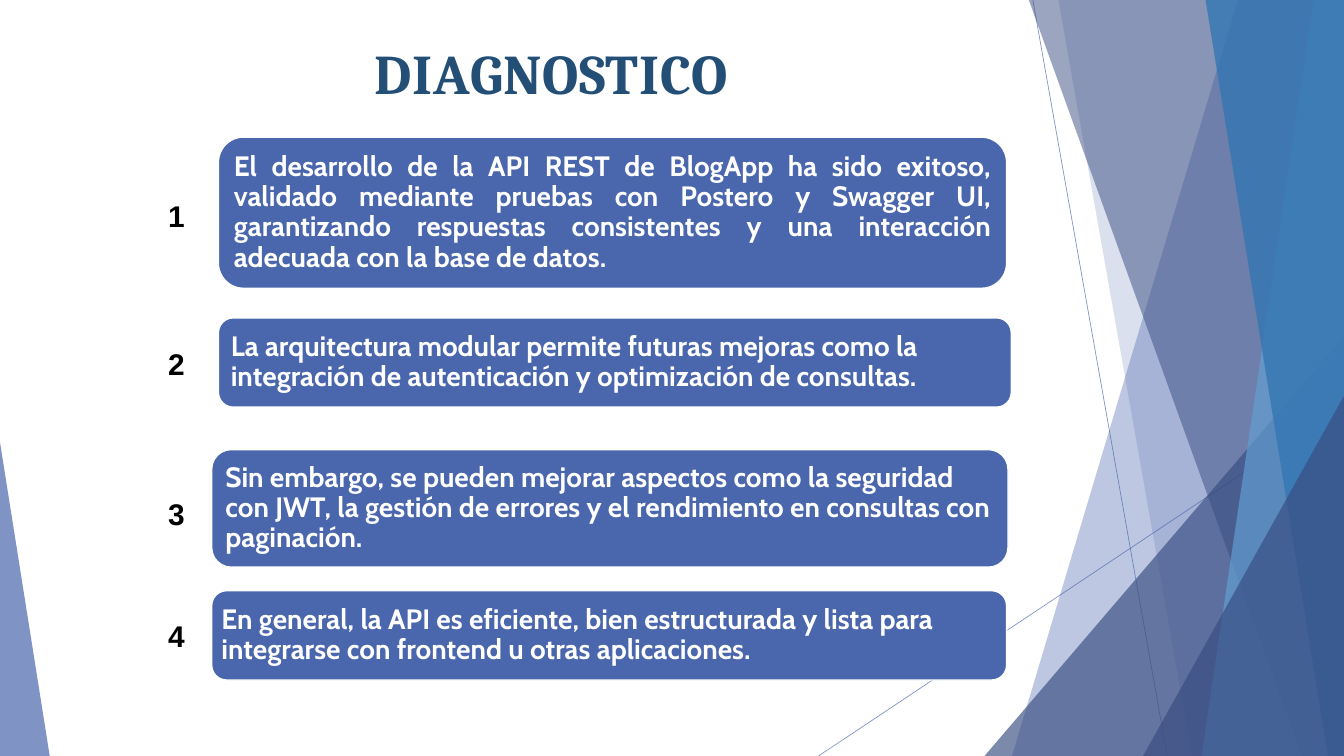
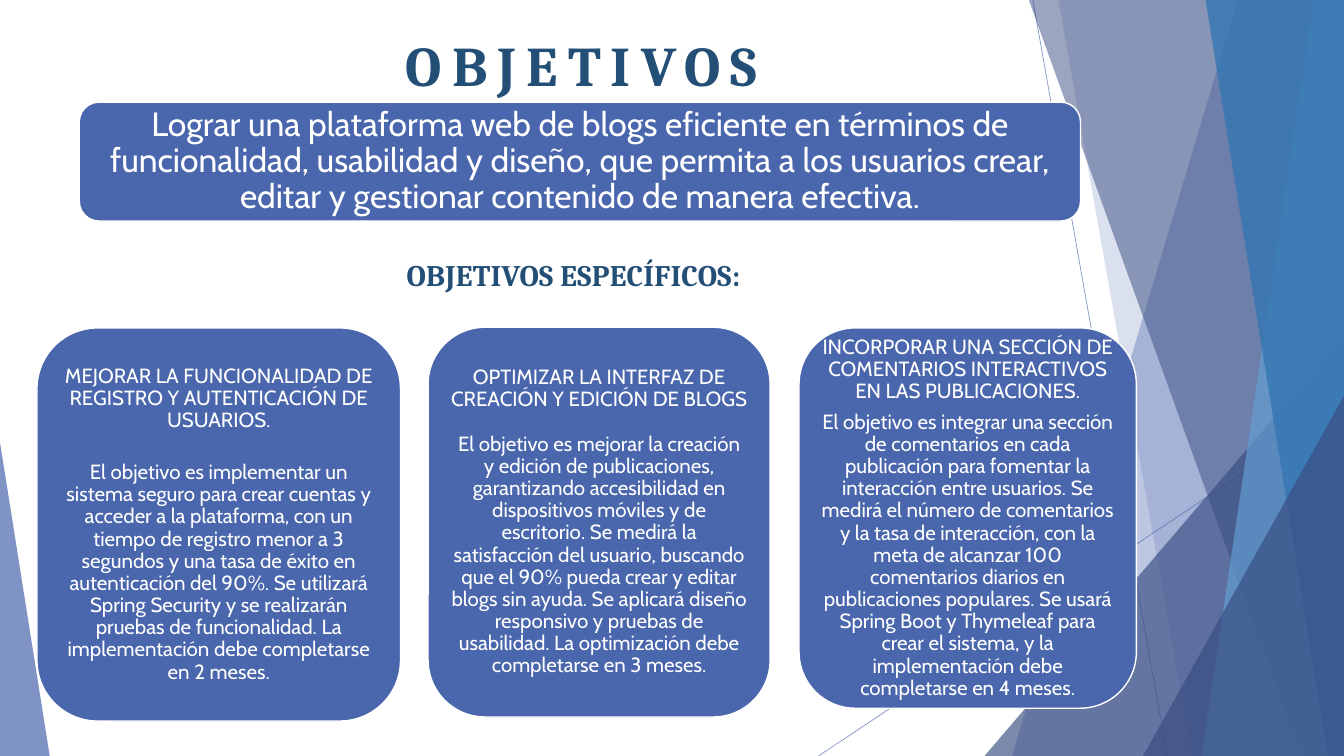
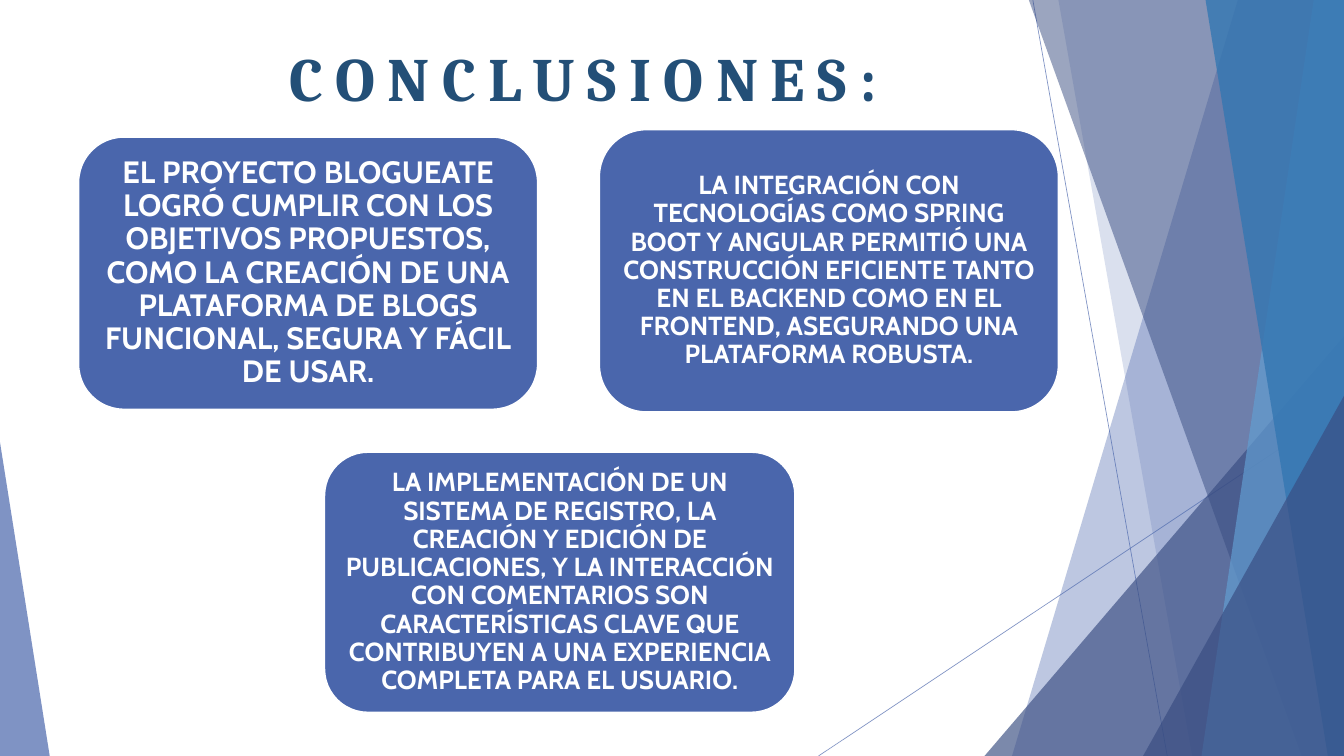
from pptx import Presentation
from pptx import util as u
from pptx.dml.color import RGBColor
from pptx.enum import shapes, text
from pptx.oxml import ns, xmlchemy

# The slide is a grid of 20 columns by 11.25 rows of one-inch cells
COLS, ROWS = 20, 11.25
COLORS = {"card": "4A66AC", "navy": "384C81", "sky": "629DD1", "ocean": "3477B2",
          "title": "234F77", "white": "FFFFFF", "black": "000000"}
CENTER, LEFT, JUSTIFY = text.PP_ALIGN.CENTER, text.PP_ALIGN.LEFT, text.PP_ALIGN.JUSTIFY


def rgb(name):
    return RGBColor.from_string(COLORS[name])


def cells(*lengths):
    return [u.Inches(length) for length in lengths]


# ---- Text ----
def prepare(frame, anchor, pad_x=0, pad_y=0):
    frame.word_wrap = True
    frame.auto_size = text.MSO_AUTO_SIZE.NONE
    frame.vertical_anchor = anchor
    frame.margin_left, frame.margin_right = cells(pad_x, pad_x)
    frame.margin_top, frame.margin_bottom = cells(pad_y, pad_y)


def write(paragraph, words, size, font, color, bold=True, align=CENTER, leading=0.9, tracking=0):
    paragraph.alignment = align
    paragraph.line_spacing = leading
    run = paragraph.add_run()
    run.text = words
    run.font.size, run.font.name, run.font.bold = u.Pt(size), font, bold
    run.font.color.rgb = rgb(color)
    if tracking:
        run.font._element.set("spc", str(round(tracking * 100)))


def label(slide, box, words, size, font, color, leading, **style):
    holder = slide.shapes.add_textbox(*cells(*box))
    prepare(holder.text_frame, text.MSO_ANCHOR.TOP)
    write(holder.text_frame.paragraphs[0], words, size, font, color,
          leading=u.Pt(leading), **style)


def card(slide, box, paragraphs, size, pad=(0.12, 0.12), bold=True, align=CENTER, gap=0):
    body = slide.shapes.add_shape(shapes.MSO_SHAPE.ROUNDED_RECTANGLE, *cells(*box))
    body.shadow.inherit = False
    body.fill.solid()
    body.fill.fore_color.rgb = rgb("card")
    body.line.color.rgb = rgb("white")
    body.line.width = u.Pt(1.5)
    frame = body.text_frame
    prepare(frame, text.MSO_ANCHOR.MIDDLE, *pad)
    for index, words in enumerate(paragraphs):
        paragraph = frame.add_paragraph() if index else frame.paragraphs[0]
        write(paragraph, words, size, "Cabin", "white", bold, align)
        if index < len(paragraphs) - 1:
            paragraph.space_after = u.Pt(gap)


def titled_slide(deck, words, box, size, leading, tracking, align=CENTER):
    slide = deck.slides.add_slide(deck.slide_layouts[5])
    title = slide.shapes.title
    title.left, title.top, title.width, title.height = cells(*box)
    prepare(title.text_frame, text.MSO_ANCHOR.TOP)
    write(title.text_frame.paragraphs[0], words, size, "Cambria", "title",
          align=align, leading=u.Pt(leading), tracking=tracking)
    return slide


# ---- Shared backdrop ----
def fade(part, percent):
    for color in part._element.iter(ns.qn("a:srgbClr")):
        alpha = xmlchemy.OxmlElement("a:alpha")
        alpha.set("val", str(percent * 1000))
        color.append(alpha)


def tint(part, color, percent):
    part.shadow.inherit = False
    part.fill.solid()
    part.fill.fore_color.rgb = rgb(color)
    part.line.fill.background()
    fade(part, percent)


def hairline(canvas, x1, y1, x2, y2):
    line = canvas.add_connector(shapes.MSO_CONNECTOR.STRAIGHT, *cells(x1, y1, x2, y2))
    line.line.color.rgb = rgb("card")
    line.line.width = u.Pt(0.75)
    fade(line, 70)
    line._element.find(ns.qn("p:spPr")).append(xmlchemy.OxmlElement("a:effectLst"))


def panel(canvas, top_x, bottom_x, color, percent):
    """Full-height panel from a slanted left side to the right edge."""
    outline = canvas.build_freeform(*cells(top_x, 0))
    outline.add_line_segments([cells(COLS, 0), cells(COLS, ROWS), cells(bottom_x, ROWS)])
    tint(outline.convert_to_shape(), color, percent)


def wedge(canvas, left, width, top, apex, color, percent):
    """Right triangle standing on the bottom edge."""
    corner = canvas.add_shape(shapes.MSO_SHAPE.ISOSCELES_TRIANGLE,
                              *cells(left, top, width, ROWS - top))
    corner.adjustments[0] = apex
    tint(corner, color, percent)


def add_backdrop(deck, slide):
    """Draw the facets as one group and hand it to the master."""
    facets = slide.shapes.add_group_shape()
    canvas = facets.shapes
    hairline(canvas, 15.37, 0, 17.37, ROWS)
    hairline(canvas, COLS, 6.04, 12.18, ROWS)
    panel(canvas, 18.42, 15.06, "card", 36)
    panel(canvas, 15.75, 17.74, "card", 20)
    wedge(canvas, 14.65, 5.35, 5, 1, "navy", 66)
    panel(canvas, 15.31, 19.37, "navy", 50)
    panel(canvas, 19.55, 17.88, "sky", 70)
    panel(canvas, 17.94, 19.76, "ocean", 80)
    wedge(canvas, 17.01, 2.99, 5.89, 1, "navy", 66)
    wedge(canvas, 0, 0.74, 6.58, 0, "card", 70)
    deck.slide_master.shapes._spTree.insert(2, facets._element)


# ---- Slides ----
def diagnosis(deck):
    slide = titled_slide(deck, "DIAGNOSTICO", (5.58, 0.74, 6.94, 0.85), 60, 59.8, 0.9, LEFT)
    # Number row, card box, padding, alignment, finding
    findings = [
        (2.96, (3.25, 2.04, 11.73, 2.25), 0.12, JUSTIFY,
         "El desarrollo de la API REST de BlogApp ha sido exitoso, validado mediante pruebas "
         "con Postero y Swagger UI, garantizando respuestas consistentes y una interacción "
         "adecuada con la base de datos."),
        (5.17, (3.25, 4.73, 11.8, 1.33), 0.12, LEFT,
         "La arquitectura modular permite futuras mejoras como la integración de "
         "autenticación y optimización de consultas."),
        (7.4, (3.15, 6.69, 11.85, 1.75), 0.12, LEFT,
         "Sin embargo, se pueden mejorar aspectos como la seguridad con JWT, la gestión de "
         "errores y el rendimiento en consultas con paginación."),
        (9.22, (3.15, 8.79, 11.83, 1.33), 0.08, LEFT,
         "En general, la API es eficiente, bien estructurada y lista para integrarse con "
         "frontend u otras aplicaciones."),
    ]
    for number, (row, box, pad, align, finding) in enumerate(findings, 1):
        label(slide, (2.3, row, 0.65, 0.54), str(number), 32, "Arial", "black", 36.8,
              tracking=0.5)
        card(slide, box, [finding], 30, (pad, pad), align=align)
    return slide


def objectives(deck):
    slide = titled_slide(deck, "OBJETIVOS", (4.52, 0.86, 8.27, 0.63), 60, 42.4, 10.8)
    # General objective
    card(slide, (1.18, 1.52, 14.9, 1.77),
         ["Lograr una plataforma web de blogs eficiente en términos de funcionalidad, "
          "usabilidad y diseño, que permita a los usuarios crear, editar y gestionar "
          "contenido de manera efectiva."], 36, (0.15, 0.07), bold=False)
    # Specific objectives: box, gap under the heading, heading, detail
    label(slide, (6.05, 4.04, 5.91, 0.34), "OBJETIVOS ESPECÍFICOS:", 32, "Cambria", "title", 23,
          align=LEFT, tracking=0.3)
    goals = [
        ((0.55, 4.88, 5.41, 5.85), 32,
         "MEJORAR LA FUNCIONALIDAD DE REGISTRO Y AUTENTICACIÓN DE USUARIOS.",
         "El objetivo es implementar un sistema seguro para crear cuentas y acceder a la "
         "plataforma, con un tiempo de registro menor a 3 segundos y una tasa de éxito en "
         "autenticación del 90%. Se utilizará Spring Security y se realizarán pruebas de "
         "funcionalidad. La implementación debe completarse en 2 meses."),
        ((6.37, 4.87, 5.09, 5.8), 24,
         "OPTIMIZAR LA INTERFAZ DE CREACIÓN Y EDICIÓN DE BLOGS",
         "El objetivo es mejorar la creación y edición de publicaciones, garantizando "
         "accesibilidad en dispositivos móviles y de escritorio. Se medirá la satisfacción "
         "del usuario, buscando que el 90% pueda crear y editar blogs sin ayuda. Se aplicará "
         "diseño responsivo y pruebas de usabilidad. La optimización debe completarse en 3 "
         "meses."),
        ((11.89, 4.88, 5.02, 5.66), 9,
         "INCORPORAR UNA SECCIÓN DE COMENTARIOS INTERACTIVOS EN LAS PUBLICACIONES.",
         "El objetivo es integrar una sección de comentarios en cada publicación para "
         "fomentar la interacción entre usuarios. Se medirá el número de comentarios y la "
         "tasa de interacción, con la meta de alcanzar 100 comentarios diarios en "
         "publicaciones populares. Se usará Spring Boot y Thymeleaf para crear el sistema, y "
         "la implementación debe completarse en 4 meses."),
    ]
    for box, gap, heading, detail in goals:
        card(slide, box, [heading, detail], 22, (0.09, 0.09), bold=False, gap=gap)


def conclusions(deck):
    slide = titled_slide(deck, "CONCLUSIONES:", (4.31, 0.96, 9.21, 0.77), 66, 52.9, 13.4, LEFT)
    results = [
        ((1.17, 2.04, 6.83, 4.05), 33, 0.14,
         "EL PROYECTO BLOGUEATE LOGRÓ CUMPLIR CON LOS OBJETIVOS PROPUESTOS, COMO LA CREACIÓN "
         "DE UNA PLATAFORMA DE BLOGS FUNCIONAL, SEGURA Y FÁCIL DE USAR."),
        ((8.92, 1.93, 6.83, 4.2), 28, 0.12,
         "LA INTEGRACIÓN CON TECNOLOGÍAS COMO SPRING BOOT Y ANGULAR PERMITIÓ UNA CONSTRUCCIÓN "
         "EFICIENTE TANTO EN EL BACKEND COMO EN EL FRONTEND, ASEGURANDO UNA PLATAFORMA "
         "ROBUSTA."),
        ((4.83, 6.73, 7, 3.87), 28, 0.12,
         "LA IMPLEMENTACIÓN DE UN SISTEMA DE REGISTRO, LA CREACIÓN Y EDICIÓN DE "
         "PUBLICACIONES, Y LA INTERACCIÓN CON COMENTARIOS SON CARACTERÍSTICAS CLAVE QUE "
         "CONTRIBUYEN A UNA EXPERIENCIA COMPLETA PARA EL USUARIO."),
    ]
    for box, size, pad, result in results:
        card(slide, box, [result], size, (pad, pad))


def main():
    deck = Presentation()
    deck.slide_width, deck.slide_height = cells(COLS, ROWS)
    add_backdrop(deck, diagnosis(deck))
    objectives(deck)
    conclusions(deck)
    deck.save("out.pptx")


if __name__ == "__main__":
    main()
